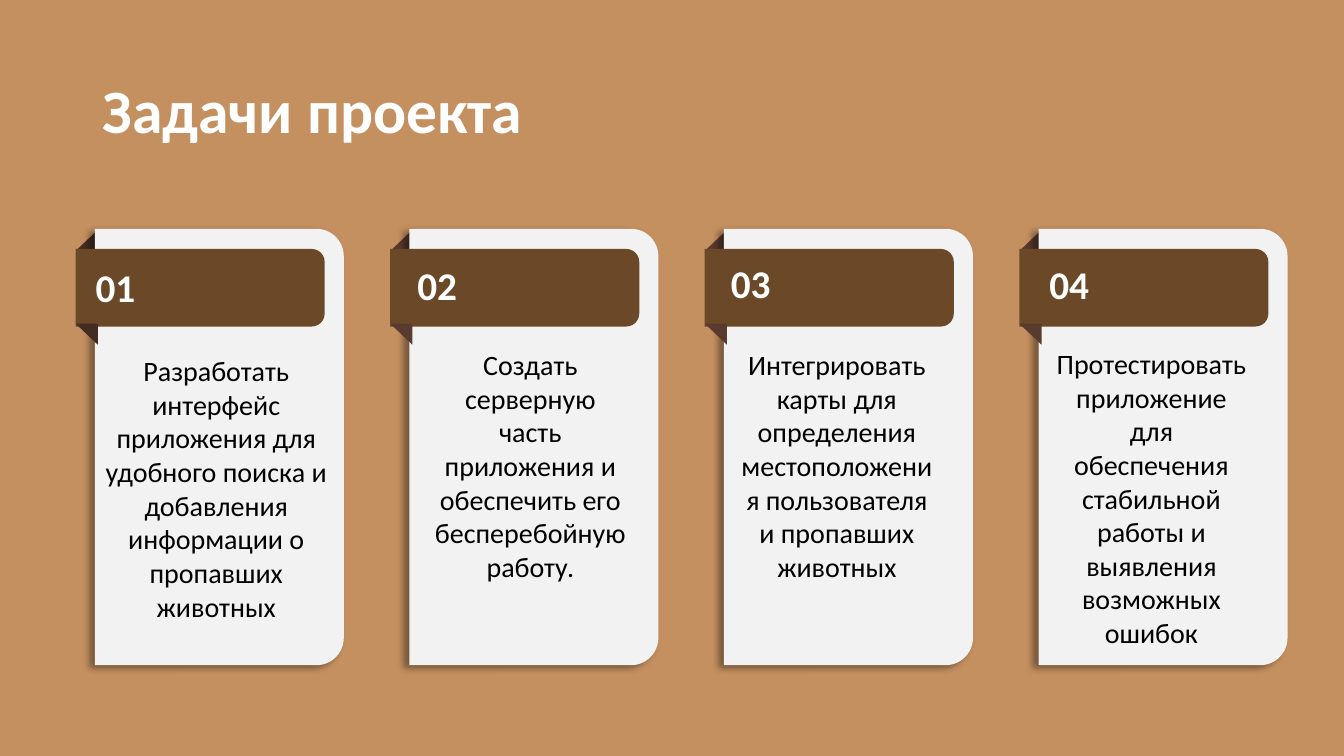
from dataclasses import dataclass

from lxml import etree
from pptx import Presentation
from pptx.dml.color import RGBColor
from pptx.enum.shapes import MSO_SHAPE
from pptx.enum.text import MSO_ANCHOR, PP_ALIGN
from pptx.oxml.ns import qn
from pptx.util import Emu, Pt

TRIANGLE = MSO_SHAPE.RIGHT_TRIANGLE
ROUNDED_SIDE = MSO_SHAPE.ROUND_2_SAME_RECTANGLE
TOP, MIDDLE = MSO_ANCHOR.TOP, MSO_ANCHOR.MIDDLE
LEFT, CENTER = PP_ALIGN.LEFT, PP_ALIGN.CENTER

BACKGROUND = RGBColor(0xC4, 0x90, 0x60)
WHITE = RGBColor(0xFF, 0xFF, 0xFF)
BLACK = RGBColor(0, 0, 0)
CARD_GREY = RGBColor(0xF2, 0xF2, 0xF2)
RIBBON_BROWN = RGBColor(0x6A, 0x48, 0x28)
FOLD_DARK = RGBColor(0x43, 0x2C, 0x23)
FOLD_BROWN = RGBColor(0x59, 0x3A, 0x2E)

PX = 9144  # one px is a hundredth of an inch
CARD_PITCH = 312

TITLE_FONT = {"name": "Calibri", "size": Pt(44), "bold": True}
NUMBER_FONT = {"name": "Calibri", "size": Pt(28), "bold": True}
TASK_FONT = {"name": "Calibri", "size": Pt(20), "bold": False}


@dataclass(frozen=True)
class Box:
    left: int
    top: int
    width: int
    height: int

    def shifted(self, dx: int) -> "Box":
        return Box(self.left + dx, self.top, self.width, self.height)

    def emu(self) -> list[Emu]:
        return [Emu(v * PX) for v in (self.left, self.top, self.width, self.height)]


@dataclass(frozen=True)
class Task:
    number: str
    number_box: Box
    text: str
    text_box: Box
    fold_color: RGBColor


# Parts of the first card; the others are shifted by the pitch
TOP_FOLD = Box(76, 227, 21, 22)
CARD = Box(1, 320, 433, 247)
RIBBON = Box(160, 162, 77, 247)
BOTTOM_FOLD = Box(75, 321, 22, 21)

TASKS = [
    Task("01", Box(85, 256, 68, 57),
         "Разработать интерфейс приложения для удобного поиска и "
         "добавления информации о пропавших животных",
         Box(94, 346, 241, 279), FOLD_DARK),
    Task("02", Box(404, 254, 68, 57),
         "Создать серверную часть приложения и обеспечить его "
         "бесперебойную работу.",
         Box(420, 340, 212, 246), FOLD_BROWN),
    Task("03", Box(715, 252, 68, 57),
         "Интегрировать карты для определения местоположения "
         "пользователя и пропавших животных",
         Box(724, 340, 212, 246), FOLD_BROWN),
    Task("04", Box(1031, 253, 68, 57),
         "Протестировать приложение для обеспечения стабильной "
         "работы и выявления возможных ошибок",
         Box(1036, 339, 212, 313), FOLD_BROWN),
]


def add_part(slide, kind, box: Box, color: RGBColor, rotation: int):
    part = slide.shapes.add_shape(kind, *box.emu())
    part.rotation = rotation
    part.shadow.inherit = False
    part.fill.solid()
    part.fill.fore_color.rgb = color
    part.line.fill.background()
    return part


def add_soft_shadow(part) -> None:
    effects = part._element.spPr.find(qn("a:effectLst"))
    shadow = etree.SubElement(
        effects, qn("a:outerShdw"), blurRad=str(Pt(5)), dist=str(Pt(4.5)),
        dir=str(155 * 60000), algn="ctr", rotWithShape="0")
    black = etree.SubElement(shadow, qn("a:srgbClr"), val="000000")
    etree.SubElement(black, qn("a:alpha"), val="40000")


def add_text(slide, box: Box, text: str, font: dict, color: RGBColor,
             align=LEFT, anchor=TOP, line_spacing: float = 1.0) -> None:
    frame = slide.shapes.add_textbox(*box.emu()).text_frame
    frame.word_wrap = True
    frame.vertical_anchor = anchor
    paragraph = frame.paragraphs[0]
    paragraph.alignment = align
    paragraph.line_spacing = line_spacing
    run = paragraph.add_run()
    run.text = text
    for attribute, value in font.items():
        setattr(run.font, attribute, value)
    run.font.color.rgb = color


def add_task(slide, task: Task, dx: int) -> None:
    # Fold behind the card, card, ribbon, fold below the ribbon
    add_part(slide, TRIANGLE, TOP_FOLD.shifted(dx), task.fold_color, 270)
    card = add_part(slide, ROUNDED_SIDE, CARD.shifted(dx), CARD_GREY, 90)
    card.adjustments[0] = 0.11
    add_soft_shadow(card)
    add_part(slide, ROUNDED_SIDE, RIBBON.shifted(dx), RIBBON_BROWN, 90)
    add_part(slide, TRIANGLE, BOTTOM_FOLD.shifted(dx), task.fold_color, 180)
    # Number and wording
    add_text(slide, task.number_box, task.number, NUMBER_FONT, WHITE)
    add_text(slide, task.text_box, task.text, TASK_FONT, BLACK, CENTER)


def main() -> None:
    deck = Presentation()
    deck.slide_width, deck.slide_height = Emu(1333 * PX), Emu(750 * PX)
    slide = deck.slides.add_slide(deck.slide_layouts[6])
    slide.background.fill.solid()
    slide.background.fill.fore_color.rgb = BACKGROUND

    # Title
    add_text(slide, Box(92, 40, 1150, 145), "Задачи проекта", TITLE_FONT, WHITE,
             anchor=MIDDLE, line_spacing=0.9)

    # Task cards
    for index, task in enumerate(TASKS):
        add_task(slide, task, index * CARD_PITCH)

    deck.save("out.pptx")


if __name__ == "__main__":
    main()
